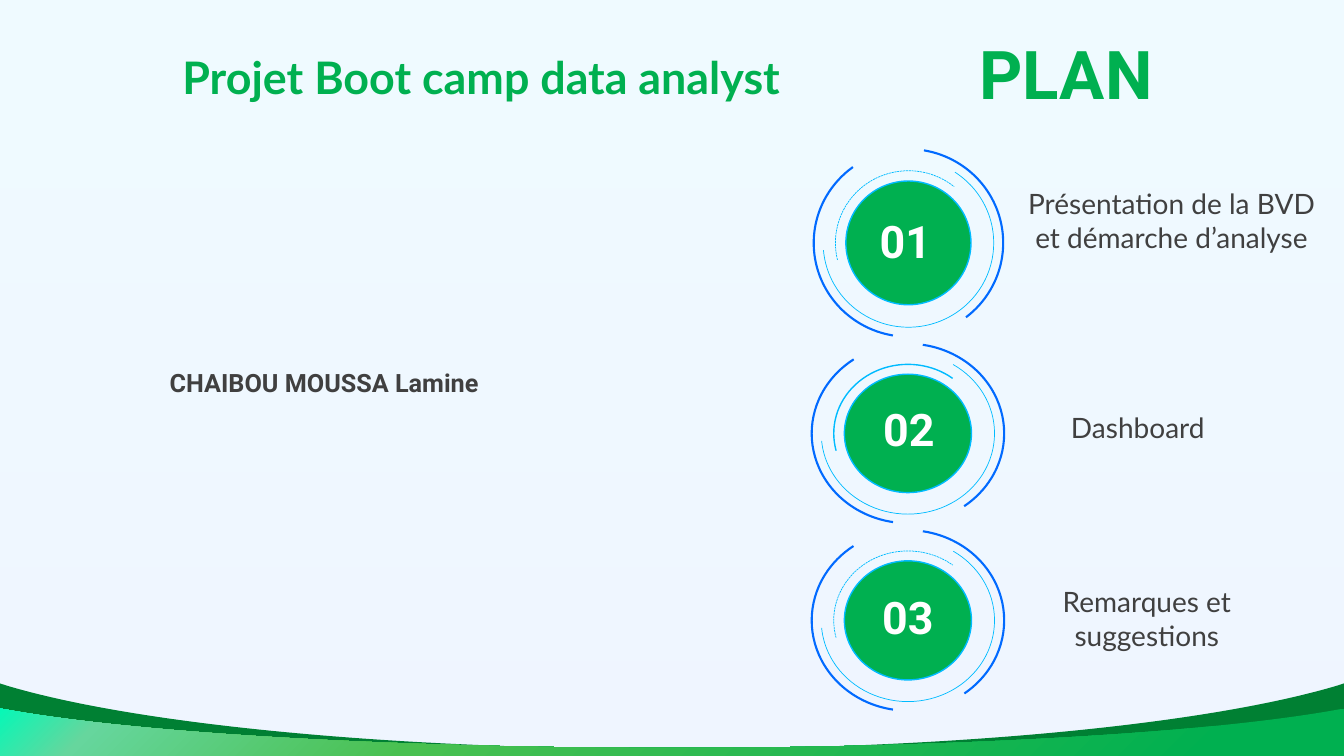
import dataclasses

import lxml.etree
import pptx
import pptx.dml.color
import pptx.enum.dml
import pptx.enum.shapes
import pptx.enum.text
import pptx.oxml.ns
import pptx.util

Inches = pptx.util.Inches
RGBColor = pptx.dml.color.RGBColor
Shapes = pptx.enum.shapes.MSO_SHAPE
Box = tuple[float, float, float, float]

GREEN = RGBColor(0x00, 0xB0, 0x50)
DARK_GREEN = RGBColor(0x00, 0x80, 0x33)
MINT = RGBColor(0x06, 0xF8, 0xB7)
PALE_GREEN = RGBColor(0x66, 0xD6, 0x9D)
LEAF = RGBColor(0x49, 0xC0, 0x50)
BLUE = RGBColor(0x01, 0x6A, 0xFF)
CYAN = RGBColor(0x00, 0xBB, 0xFF)
SKY = RGBColor(0xCC, 0xF1, 0xFF)
PERIWINKLE = RGBColor(0xCC, 0xE1, 0xFF)
GREY = RGBColor(0x40, 0x40, 0x40)
WHITE = RGBColor(0xFF, 0xFF, 0xFF)

WIDTH, HEIGHT = 13.33, 7.5


@dataclasses.dataclass(frozen=True)
class Label:
    text: str
    box: Box
    size: float
    font: str
    color: RGBColor
    bold: bool = False
    margins: bool = False
    wrap: bool = True


@dataclasses.dataclass(frozen=True)
class Arc:
    scale: float
    start: float
    end: float
    color: RGBColor
    weight: float
    rotation: float = 0


@dataclasses.dataclass(frozen=True)
class Step:
    badge: Box
    number: str
    number_box: Box
    topic: str
    topic_box: Box
    inner_weight: float = 0.5
    dashed: bool = True


@dataclasses.dataclass(frozen=True)
class Stop:
    position: int
    color: RGBColor
    alpha: int = 100


INNER_ARC = Arc(0.77, 99.89, 185.46, CYAN, 0.5)
OTHER_ARCS = [
    Arc(0.9, 182, 105.02, CYAN, 0.5),
    Arc(1, 167.72, 31.37, BLUE, 1.5),
    Arc(1, 167.72, 32.28, BLUE, 1.5, 180),
]
STEPS = [
    Step((8.07, 1.48, 1.88, 1.86), "01", (8.45, 2.12, 1.06, 0.54),
         "Présentation de la BVD et démarche d’analyse", (10.03, 1.8, 3.18, 0.91)),
    Step((8.05, 3.41, 1.91, 1.78), "02", (8.54, 3.99, 0.95, 0.54),
         "Dashboard", (9.63, 4.02, 3.31, 0.44), 1, False),
    Step((8.05, 5.26, 1.91, 1.79), "03", (8.63, 5.85, 0.75, 0.54),
         "Remarques et suggestions", (9.72, 5.75, 3.31, 0.77)),
]
PLAN = Label("PLAN", (8.12, 0.32, 4.91, 1.01), 48, "Roboto", GREEN, True, wrap=False)
LABELS = [
    Label("Projet Boot camp data analyst", (1.56, 0.49, 6.43, 1.01), 32, "Lato",
          GREEN, True, wrap=False),
    Label("CHAIBOU MOUSSA Lamine", (1.15, 3.59, 4.13, 0.91), 18, "Roboto",
          GREY, True, margins=True),
]


def inches(box: Box) -> list[int]:
    return [Inches(value) for value in box]


def scaled(box: Box, scale: float) -> Box:
    left, top, width, height = box
    return (left + width * (1 - scale) / 2, top + height * (1 - scale) / 2,
            width * scale, height * scale)


def fill_gradient(shape, stops: list[Stop], direction: str) -> None:
    shape.fill.solid()
    solid = shape._element.spPr.find(pptx.oxml.ns.qn("a:solidFill"))
    marks = "".join(
        f'<a:gs pos="{stop.position * 1000}"><a:srgbClr val="{stop.color}">'
        f'<a:alpha val="{stop.alpha * 1000}"/></a:srgbClr></a:gs>' for stop in stops)
    gradient = lxml.etree.fromstring(
        f'<a:gradFill {pptx.oxml.ns.nsdecls("a")} rotWithShape="1">'
        f'<a:gsLst>{marks}</a:gsLst>{direction}</a:gradFill>')
    solid.getparent().replace(solid, gradient)


def write_label(shape, label: Label) -> None:
    shape.left, shape.top, shape.width, shape.height = inches(label.box)
    frame = shape.text_frame
    frame.word_wrap = label.wrap
    frame.auto_size = pptx.enum.text.MSO_AUTO_SIZE.NONE
    frame.vertical_anchor = pptx.enum.text.MSO_ANCHOR.TOP
    if not label.margins:
        frame.margin_left = frame.margin_right = 0
        frame.margin_top = frame.margin_bottom = 0
    frame.text = label.text
    para = frame.paragraphs[0]
    para.alignment = pptx.enum.text.PP_ALIGN.CENTER
    para.line_spacing = 1.0
    para.space_before = pptx.util.Pt(0)
    font = para.runs[0].font
    font.name, font.size, font.bold = label.font, pptx.util.Pt(label.size), label.bold
    font.color.rgb = label.color


def add_label(page, label: Label) -> None:
    write_label(page.shapes.add_textbox(*inches(label.box)), label)


def add_wave(page, edge: float, shoulder: float, control: float, bottom: float):
    left_side = [(0, edge), (0.06, shoulder), (1.33, control), (3.81, bottom)]
    right_side = [(WIDTH - x, y) for x, y in reversed(left_side)]
    outline = [*left_side, (WIDTH / 2, bottom), *right_side,
               (WIDTH, HEIGHT), (0, HEIGHT)]
    points = [(Inches(x), Inches(y)) for x, y in outline]
    builder = page.shapes.build_freeform(*points[0])
    builder.add_line_segments(points[1:], close=True)
    wave = builder.convert_to_shape()

    # Each half of the wave joins three segments into one curve
    qn = pptx.oxml.ns.qn
    segments = list(wave._element.spPr.iter(qn("a:lnTo")))
    for first in (1, 4):
        curve = lxml.etree.Element(qn("a:cubicBezTo"))
        segments[first].addprevious(curve)
        for segment in segments[first:first + 3]:
            curve.append(segment[0])
            segment.getparent().remove(segment)

    wave.shadow.inherit = False
    wave.line.fill.background()
    return wave


def add_arc(group, badge: Box, arc: Arc, dashed: bool = False) -> None:
    shape = group.shapes.add_shape(Shapes.ARC, *inches(scaled(badge, arc.scale)))
    shape.adjustments[0], shape.adjustments[1] = arc.start, arc.end
    shape.rotation = arc.rotation
    shape.shadow.inherit = False
    shape.fill.background()
    shape.line.color.rgb = arc.color
    shape.line.width = pptx.util.Pt(arc.weight)
    if dashed:
        shape.line.dash_style = pptx.enum.dml.MSO_LINE.SQUARE_DOT


def add_step(page, step: Step) -> None:
    group = page.shapes.add_group_shape()
    disc = group.shapes.add_shape(Shapes.OVAL, *inches(scaled(step.badge, 0.66)))
    disc.shadow.inherit = False
    disc.fill.solid()
    disc.fill.fore_color.rgb = GREEN
    disc.line.color.rgb = CYAN
    disc.line.width = pptx.util.Pt(1)
    inner = dataclasses.replace(INNER_ARC, weight=step.inner_weight)
    add_arc(group, step.badge, inner, step.dashed)
    for arc in OTHER_ARCS:
        add_arc(group, step.badge, arc)
    add_label(page, Label(step.number, step.number_box, 32, "Roboto", WHITE, True))
    add_label(page, Label(step.topic, step.topic_box, 20, "Lato", GREY, margins=True))


def main() -> None:
    deck = pptx.Presentation()
    deck.slide_width, deck.slide_height = Inches(WIDTH), Inches(HEIGHT)
    page = deck.slides.add_slide(deck.slide_layouts[5])

    # Tinted backdrop
    backdrop = page.shapes.add_shape(Shapes.RECTANGLE, *inches((0, 0, WIDTH, HEIGHT)))
    backdrop.shadow.inherit = False
    backdrop.line.fill.background()
    fill_gradient(backdrop, [Stop(0, SKY, 30), Stop(100, PERIWINKLE, 30)],
                  '<a:lin ang="5400000" scaled="0"/>')

    # Title, raised above the backdrop
    title = page.shapes.title
    write_label(title, PLAN)
    backdrop._element.addnext(title._element)

    # Waves along the bottom
    back_wave = add_wave(page, 6.78, 6.8, 7.18, 7.43)
    back_wave.fill.solid()
    back_wave.fill.fore_color.rgb = DARK_GREEN
    front_wave = add_wave(page, 7.03, 7.04, 7.27, 7.42)
    fill_gradient(front_wave,
                  [Stop(0, MINT), Stop(8, PALE_GREEN), Stop(32, LEAF), Stop(90, GREEN)],
                  '<a:path path="circle"><a:fillToRect r="100000" b="100000"/></a:path>')

    # Numbered steps and remaining labels
    for step in STEPS:
        add_step(page, step)
    for label in LABELS:
        add_label(page, label)

    deck.save("out.pptx")


if __name__ == "__main__":
    main()
